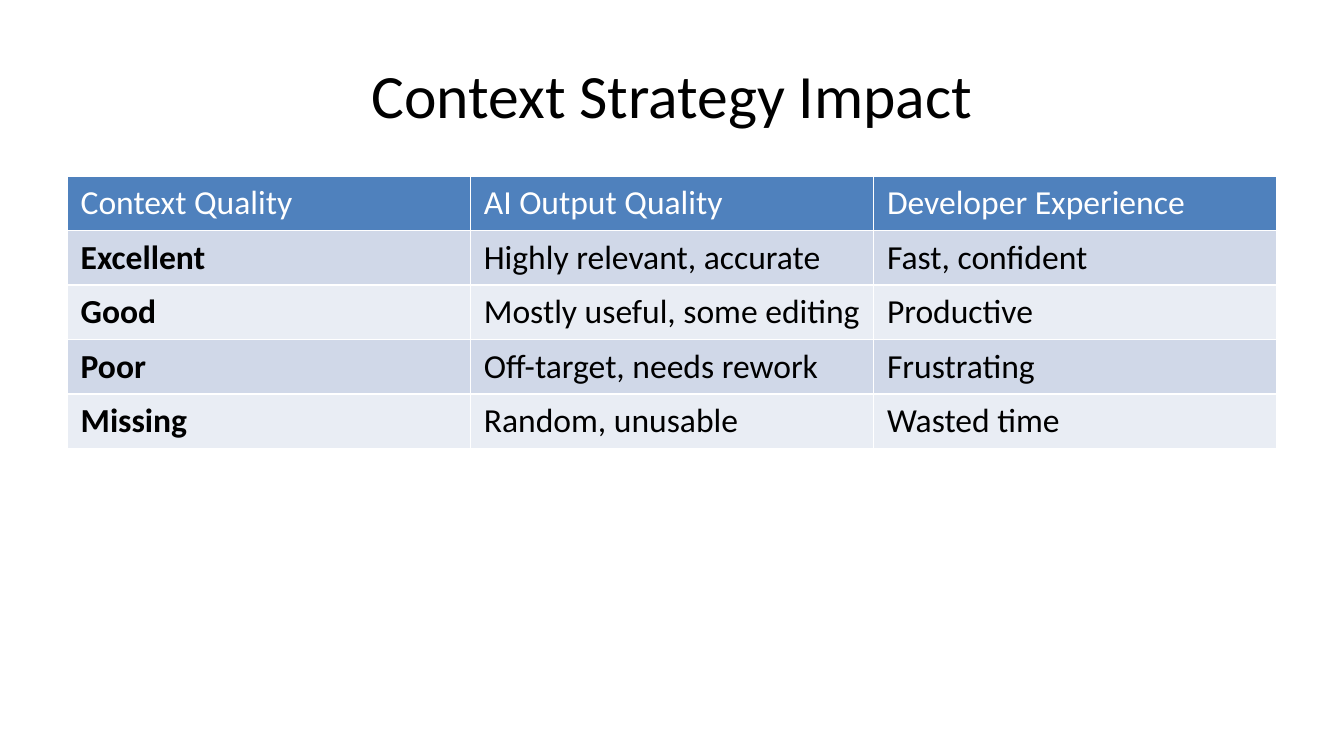
"""Build a slide with a table of how context quality affects results."""
import pptx
import pptx.util
import pptx.dml.color
import pptx.enum.text

Inches = pptx.util.Inches
Pt = pptx.util.Pt
RGBColor = pptx.dml.color.RGBColor

TITLE = "Context Strategy Impact"
ROWS = [
    ("Context Quality", "AI Output Quality", "Developer Experience"),
    ("Excellent", "Highly relevant, accurate", "Fast, confident"),
    ("Good", "Mostly useful, some editing", "Productive"),
    ("Poor", "Off-target, needs rework", "Frustrating"),
    ("Missing", "Random, unusable", "Wasted time"),
]

BLACK = RGBColor(0x00, 0x00, 0x00)
WHITE = RGBColor(0xFF, 0xFF, 0xFF)
BLUE = RGBColor(0x4F, 0x81, 0xBD)
BANDS = [RGBColor(0xE9, 0xED, 0xF4), RGBColor(0xD0, 0xD8, 0xE8)]

WIDE = Inches(10)
SIZE = {"slide_width": WIDE, "slide_height": WIDE * 9 // 16}
PLACE = {"left": Inches(0.5), "top": Inches(0.23),
         "width": Inches(9), "height": Inches(0.94)}
GRID = {"left": Inches(0.5), "top": Inches(1.31),
        "width": Inches(9), "height": Inches(3.71)}
FRAME = {"word_wrap": True,
         "vertical_anchor": pptx.enum.text.MSO_ANCHOR.MIDDLE}
HEAD = {"name": "Calibri", "size": Pt(33), "bold": False}
BODY = {"name": "Calibri", "size": Pt(18)}


def apply(item, values):
    for name, value in values.items():
        setattr(item, name, value)


def write(frame, text, style, color):
    para = frame.paragraphs[0]
    run = para.add_run()
    run.text = text
    apply(run.font, style)
    run.font.color.rgb = color
    return para


def add_title(slide):
    title = slide.shapes.title
    apply(title, PLACE)
    apply(title.text_frame, FRAME)
    para = write(title.text_frame, TITLE, HEAD, BLACK)
    para.alignment = pptx.enum.text.PP_ALIGN.CENTER


def add_grid(slide):
    frame = slide.shapes.add_table(len(ROWS), len(ROWS[0]), **GRID)
    table = frame.table
    for r, row in enumerate(ROWS):
        table.rows[r].height = Inches(0)
        for c, text in enumerate(row):
            cell = table.cell(r, c)
            cell.fill.solid()
            cell.fill.fore_color.rgb = BANDS[r % 2] if r else BLUE
            style = {**BODY, "bold": r > 0 and c == 0}
            write(cell.text_frame, text, style, BLACK if r else WHITE)
    apply(frame, GRID)


def main():
    deck = pptx.Presentation()
    apply(deck, SIZE)
    slide = deck.slides.add_slide(deck.slide_layouts[5])
    add_title(slide)
    add_grid(slide)
    deck.save("out.pptx")


if __name__ == "__main__":
    main()
